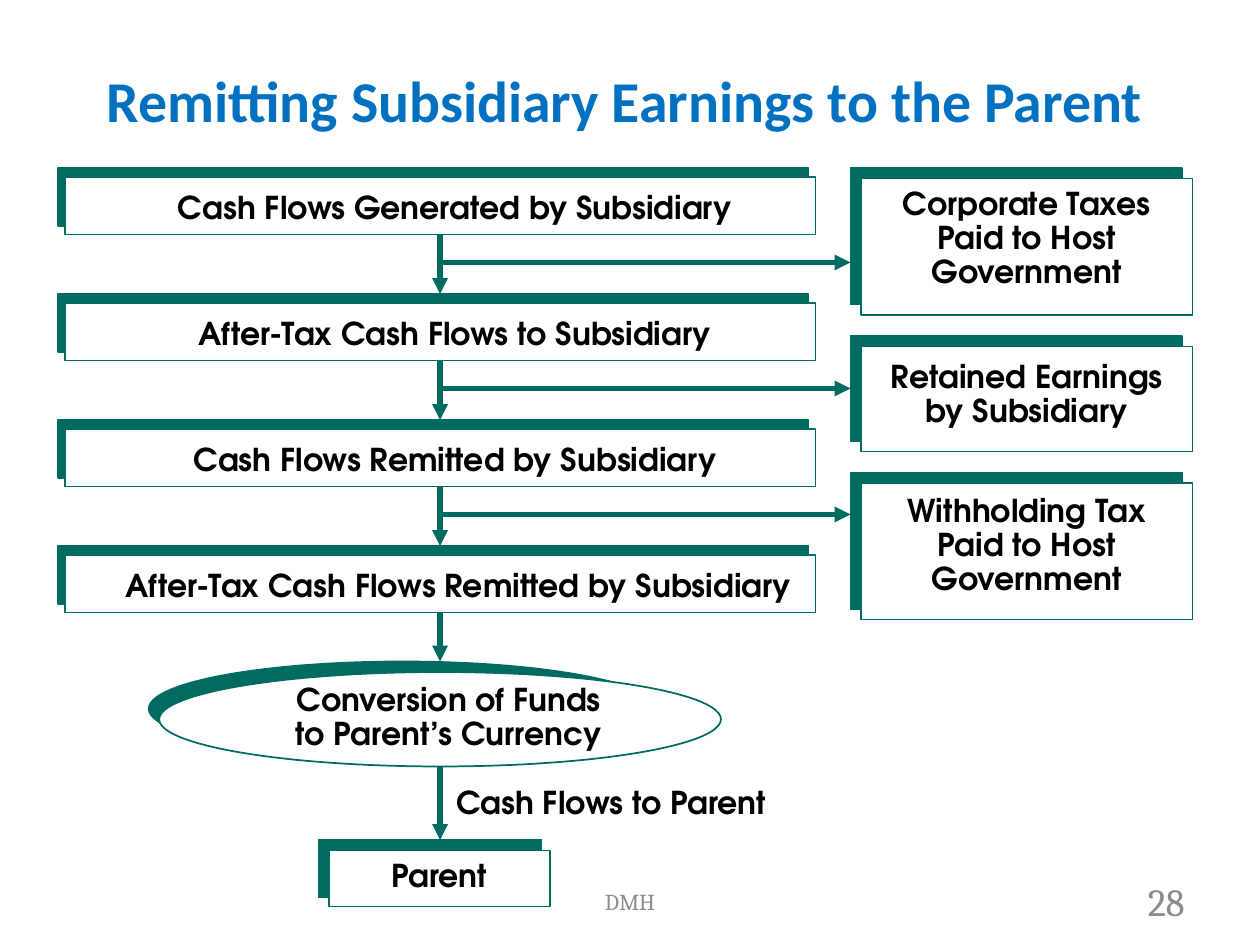
from lxml.etree import SubElement
from pptx import Presentation
from pptx.dml.color import RGBColor
from pptx.enum.shapes import MSO_CONNECTOR, MSO_SHAPE
from pptx.enum.text import MSO_ANCHOR, MSO_AUTO_SIZE, PP_ALIGN
from pptx.oxml.ns import qn
from pptx.util import Pt

TITLE = "Remitting Subsidiary Earnings to the Parent"
STAGES = [
    ("Cash Flows Generated by Subsidiary", 260, 332),
    ("After-Tax Cash Flows to Subsidiary", 260, 310),
    ("Cash Flows Remitted by Subsidiary", 260, 314),
    ("After-Tax Cash Flows Remitted by Subsidiary", 262, 397),
]
DEDUCTIONS = [
    ("Corporate Taxes Paid to Host Government", 96, 78, (104, 65.5)),
    ("Retained Earnings\nby Subsidiary", 192, 60, (203, 46)),
    ("Withholding Tax Paid to Host Government", 270, 78, (279.5, 65.5)),
]
CONVERSION = "Conversion of Funds\nto Parent’s Currency"
TRANSFER = "Cash Flows to Parent"
PARENT = "Parent"
FOOTER, PAGE = "DMH", "28"

COLORS = {"title": "0070C0", "flow": "006B61", "front": "FFFFFF",
          "label": "000000", "footer": "8B8B8B"}
LABEL_FONT = {"name": "TeX Gyre Adventor", "size": Pt(18), "bold": True}
TITLE_FONT = {"name": "Calibri", "size": Pt(33), "bold": True}

AXIS = 251.5
STAGE_LEFT, STAGE_TOP, STAGE_STEP = 33, 96, 72
STAGE_WIDTH, STAGE_HEIGHT = 429, 33
SIDE_LEFT, SIDE_WIDTH = 486, 189.5
BRANCH_TOP = 150

deck = Presentation()
deck.slide_width, deck.slide_height = Pt(720), Pt(540)
slide = deck.slides.add_slide(deck.slide_layouts[5])


def rgb(role):
    return RGBColor.from_string(COLORS[role])


def apply(target, values):
    for attribute, value in values.items():
        setattr(target, attribute, value)


def write(frame, text, font, color, align, spacing=None):
    frame.text = text
    for paragraph in frame.paragraphs:
        apply(paragraph, {"alignment": align, "line_spacing": spacing})
        apply(paragraph.font, font)
        paragraph.font.color.rgb = rgb(color)


def add_label(text, left, top, width, height, wrap=False, spacing=0.9,
              align=PP_ALIGN.CENTER):
    label = slide.shapes.add_textbox(Pt(left), Pt(top), Pt(width), Pt(height))
    apply(label.text_frame, {"word_wrap": wrap,
                             "auto_size": MSO_AUTO_SIZE.SHAPE_TO_FIT_TEXT})
    write(label.text_frame, text, LABEL_FONT, "label", align, spacing)


def add_panel(kind, color, left, top, width, height):
    panel = slide.shapes.add_shape(kind, Pt(left), Pt(top), Pt(width), Pt(height))
    panel.shadow.inherit = False
    panel.fill.solid()
    panel.fill.fore_color.rgb = rgb(color)
    panel.line.color.rgb = rgb("flow")
    panel.line.width = Pt(1)
    return panel


def add_raised(kind, back, front):
    return add_panel(kind, "flow", *back), add_panel(kind, "front", *front)


def add_arrow(x1, y1, x2, y2):
    arrow = slide.shapes.add_connector(
        MSO_CONNECTOR.STRAIGHT, Pt(x1), Pt(y1), Pt(x2), Pt(y2))
    arrow.line.color.rgb = rgb("flow")
    arrow.line.width = Pt(3)
    SubElement(arrow.line._get_or_add_ln(), qn("a:tailEnd"), type="triangle")
    SubElement(arrow._element.spPr, qn("a:effectLst"))
    return arrow


def add_footer(text, left, width, size, align):
    footer = slide.shapes.add_textbox(Pt(left), Pt(500.5), Pt(width), Pt(29))
    apply(footer.text_frame, {"word_wrap": True,
                              "vertical_anchor": MSO_ANCHOR.MIDDLE})
    write(footer.text_frame, text, {"name": "Cambria", "size": Pt(size)},
          "footer", align)


title = slide.shapes.title
apply(title, {"left": Pt(16), "top": Pt(18), "width": Pt(682), "height": Pt(78)})
title.text_frame.vertical_anchor = MSO_ANCHOR.MIDDLE
write(title.text_frame, TITLE, TITLE_FONT, "title", PP_ALIGN.CENTER)

add_footer(FOOTER, 246, 228, 13, PP_ALIGN.CENTER)
add_footer(PAGE, 516, 168, 22, PP_ALIGN.RIGHT)

flow_sources = []
arrow_tips = []
for row, (text, center, width) in enumerate(STAGES):
    top = STAGE_TOP + row * STAGE_STEP
    back, front = add_raised(
        MSO_SHAPE.RECTANGLE,
        (STAGE_LEFT, top, STAGE_WIDTH, STAGE_HEIGHT),
        (AXIS - STAGE_WIDTH / 2, top + 5, STAGE_WIDTH, STAGE_HEIGHT))
    add_label(text, center - width / 2, top + 8, width, 29, spacing=None)
    flow_sources.append((front, top + 5 + STAGE_HEIGHT))
    arrow_tips.append(top)

conversion_back, conversion_front = add_raised(
    MSO_SHAPE.OVAL, (85, 378, 290, 54), (91, 384, 321, 54))
add_label(CONVERSION, 161.5, 387.5, 190, 46)
flow_sources.append((conversion_front, 438))

add_raised(MSO_SHAPE.RECTANGLE, (182, 480, 127.5, 33), (188, 486, 126.5, 32))
add_label(PARENT, 188, 488, 126, 26.5, wrap=True)
add_label(TRANSFER, 253.5, 444, 193, 29, spacing=None, align=PP_ALIGN.LEFT)
arrow_tips += [378, 480]

for (source, bottom), tip in zip(flow_sources, arrow_tips[1:]):
    arrow = add_arrow(AXIS, bottom, AXIS, tip)
    if source is not conversion_front:
        arrow.begin_connect(source, 2)

for row, (text, top, height, (label_top, label_height)) in enumerate(DEDUCTIONS):
    back, front = add_raised(
        MSO_SHAPE.RECTANGLE,
        (SIDE_LEFT, top, SIDE_WIDTH, height),
        (SIDE_LEFT + 6, top + 6, SIDE_WIDTH, height))
    add_label(text, SIDE_LEFT + 6, label_top, SIDE_WIDTH, label_height, wrap=True)
    branch = BRANCH_TOP + row * STAGE_STEP
    arrow = add_arrow(AXIS, branch, SIDE_LEFT, branch)
    if branch == top + height / 2:
        arrow.end_connect(back, 1)

deck.save("out.pptx")
